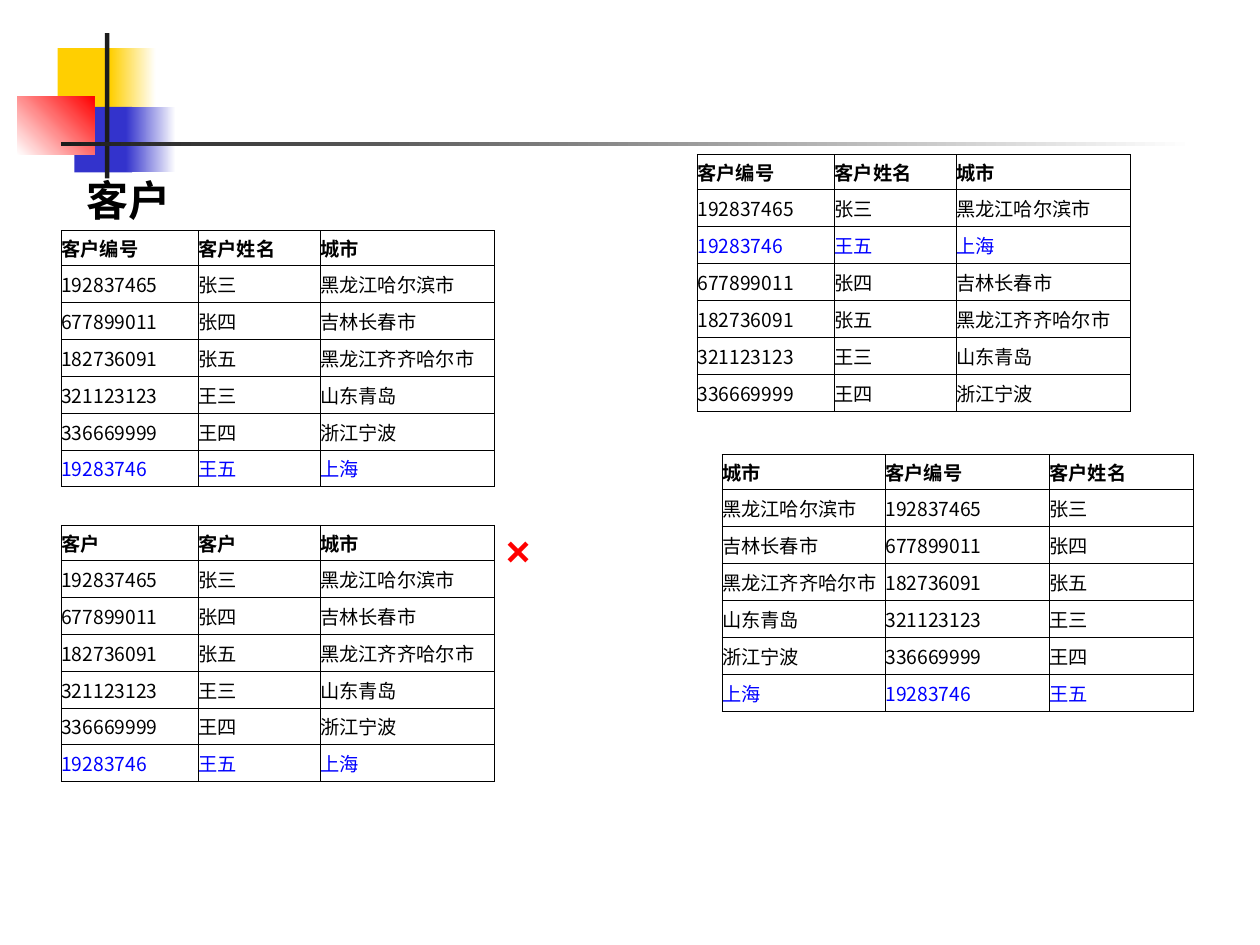
"""Builds the slide on how row and column order affect the customer relation."""
from lxml.etree import SubElement
from pptx import Presentation
from pptx.dml.color import RGBColor
from pptx.enum.shapes import MSO_SHAPE
from pptx.enum.text import MSO_ANCHOR, PP_ALIGN
from pptx.oxml.ns import qn
from pptx.util import Pt

BLACK = RGBColor(0x00, 0x00, 0x00)
WHITE = RGBColor(0xFF, 0xFF, 0xFF)
BLUE = RGBColor(0x00, 0x00, 0xFF)
RED = RGBColor(0xFF, 0x00, 0x00)
GOLD = RGBColor(0xFF, 0xCF, 0x01)
INDIGO = RGBColor(0x33, 0x33, 0xCC)
CHARCOAL = RGBColor(0x1C, 0x1C, 0x1C)
CJK_FONT = "Noto Sans CJK SC"

DECORATIONS = [
    ((33, 27.5, 34.5, 37.5), [GOLD], 0),
    ((63, 27.5, 26, 37.5), [GOLD, WHITE], 0),
    ((42.5, 61, 33, 37.5), [INDIGO], 0),
    ((72, 61, 28.5, 37.5), [INDIGO, WHITE], 0),
    ((10, 55, 44, 33.5), [WHITE, RED], 45),
    ((60, 19, 2.5, 83), [CHARCOAL], 0),
    ((35, 81, 648, 2.5), [CHARCOAL, WHITE], 0),
]

HEADER = ("客户编号", "客户姓名", "城市")
CUSTOMERS = [
    ("192837465", "张三", "黑龙江哈尔滨市"),
    ("677899011", "张四", "吉林长春市"),
    ("182736091", "张五", "黑龙江齐齐哈尔市"),
    ("321123123", "王三", "山东青岛"),
    ("336669999", "王四", "浙江宁波"),
]
NEW_CUSTOMER = ("19283746", "王五", "上海")
NEW_LAST = CUSTOMERS + [NEW_CUSTOMER]
NEW_SECOND = CUSTOMERS[:1] + [NEW_CUSTOMER] + CUSTOMERS[1:]

WIDTHS = (78.4, 69.5, 99.5)
CITY_FIRST_WIDTHS = (93.3, 93.7, 82.5)
HEADER_HEIGHT, ROW_HEIGHT = 20, 21.1
TABLES = [
    ((35, 131.7), WIDTHS, HEADER, NEW_LAST, (0, 1, 2)),
    ((398.5, 88.5), WIDTHS, HEADER, NEW_SECOND, (0, 1, 2)),
    ((412.6, 259.8), CITY_FIRST_WIDTHS, HEADER, NEW_LAST, (2, 0, 1)),
    ((35, 300.2), WIDTHS, ("客户", "客户", "城市"), NEW_LAST, (0, 1, 2)),
]


def write(text_frame, text, font_name, size, color, bold):
    paragraph = text_frame.paragraphs[0]
    paragraph.alignment = PP_ALIGN.JUSTIFY
    paragraph.space_before = Pt(0)
    run = paragraph.add_run()
    run.text = text
    for key, value in {"name": font_name, "size": Pt(size), "bold": bold}.items():
        setattr(run.font, key, value)
    run.font.color.rgb = color
    SubElement(run.font._element, qn("a:ea"), typeface=CJK_FONT)


def add_decoration(slide, box, colors, angle):
    shape = slide.shapes.add_shape(MSO_SHAPE.RECTANGLE, *map(Pt, box))
    shape.shadow.inherit = False
    shape.line.fill.background()
    if len(colors) == 1:
        shape.fill.solid()
        shape.fill.fore_color.rgb = colors[0]
        return
    shape.fill.gradient()
    shape.fill.gradient_angle = angle
    for stop, color in zip(shape.fill.gradient_stops, colors):
        stop.color.rgb = color


def format_cell(cell):
    properties = cell._tc.get_or_add_tcPr()
    for side in ("lnL", "lnR", "lnT", "lnB"):
        line = SubElement(properties, qn(f"a:{side}"), w=str(Pt(0.5)))
        fill = SubElement(line, qn("a:solidFill"))
        SubElement(fill, qn("a:srgbClr"), val=str(BLACK))
    cell.fill.background()
    cell.vertical_anchor = MSO_ANCHOR.MIDDLE
    for side in ("left", "right", "top", "bottom"):
        setattr(cell, f"margin_{side}", 0)


def add_customer_table(slide, position, widths, header, customers, order):
    rows = [header] + customers
    heights = [HEADER_HEIGHT] + [ROW_HEIGHT] * len(customers)
    box = (*position, sum(widths), sum(heights))
    table = slide.shapes.add_table(len(rows), len(widths), *map(Pt, box)).table
    table.first_row = table.horz_banding = False
    for column, width in zip(table.columns, widths):
        column.width = Pt(width)
    for row_index, (row, height) in enumerate(zip(rows, heights)):
        table.rows[row_index].height = Pt(height)
        color = BLUE if row == NEW_CUSTOMER else BLACK
        for column_index, field in enumerate(order):
            cell = table.cell(row_index, column_index)
            format_cell(cell)
            write(cell.text_frame, row[field], CJK_FONT, 11, color, row_index == 0)


def main():
    presentation = Presentation()
    presentation.slide_width, presentation.slide_height = Pt(720), Pt(540)
    slide = presentation.slides.add_slide(presentation.slide_layouts[5])
    for decoration in DECORATIONS:
        add_decoration(slide, *decoration)
    for customer_table in TABLES:
        add_customer_table(slide, *customer_table)

    title = slide.shapes.title
    cross = slide.shapes.add_textbox(Pt(282), Pt(296), Pt(54), Pt(36))
    title.left, title.top, title.width, title.height = map(Pt, (42.5, 96, 126.5, 36))
    for shape, text, font_name, color in (
        (title, "客户", "Karla", BLACK),
        (cross, "×", "Arial", RED),
    ):
        shape.text_frame.word_wrap = True
        shape.text_frame.vertical_anchor = MSO_ANCHOR.TOP
        write(shape.text_frame, text, font_name, 24, color, True)
    presentation.save("out.pptx")


if __name__ == "__main__":
    main()
